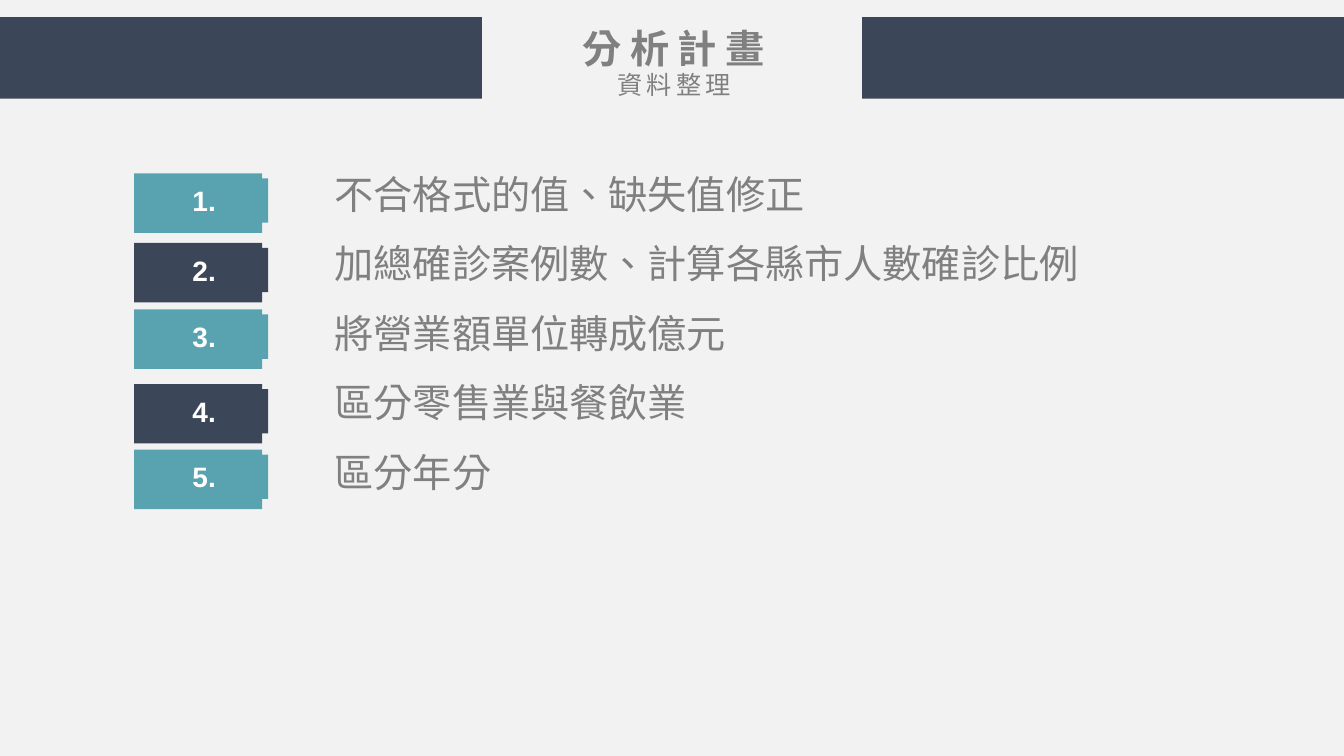
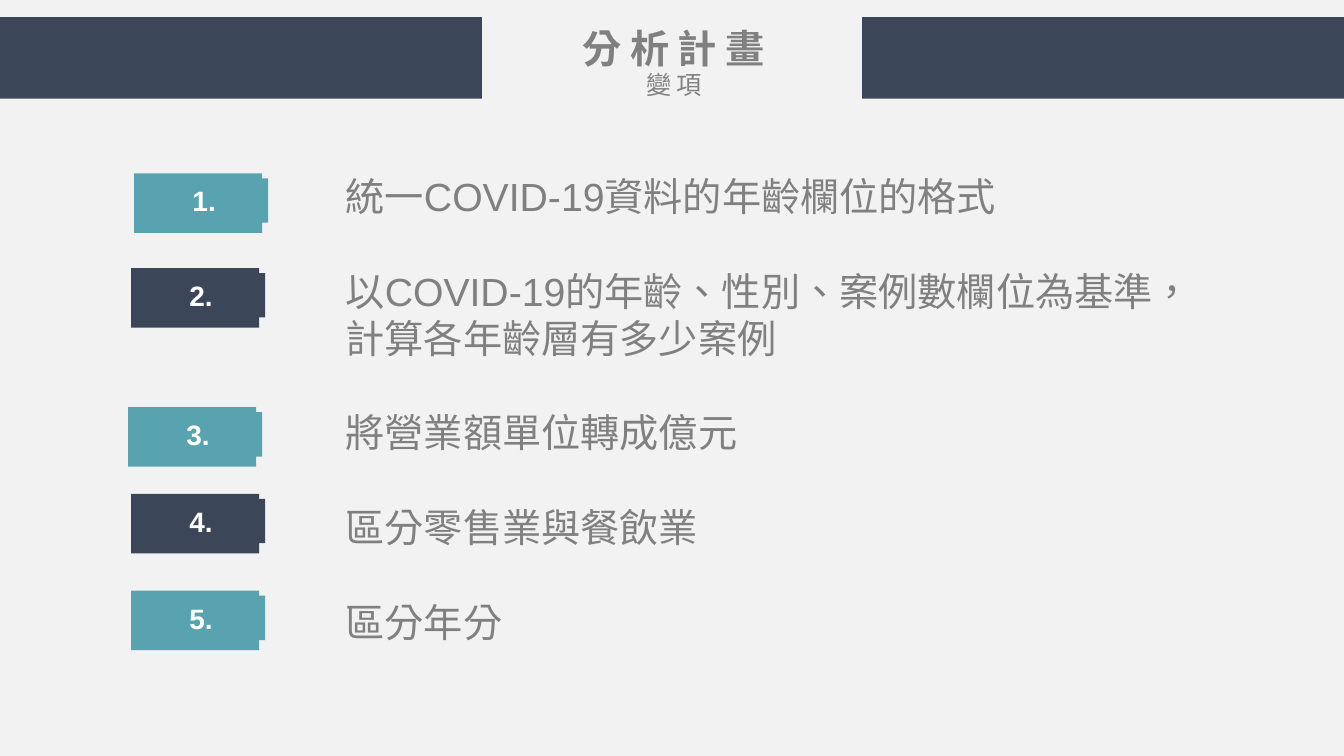
"""Build the two analysis plan slides."""
from dataclasses import dataclass

from pptx import Presentation
from pptx.dml.color import RGBColor
from pptx.enum.lang import MSO_LANGUAGE_ID
from pptx.enum.shapes import MSO_SHAPE
from pptx.enum.text import MSO_ANCHOR, PP_ALIGN
from pptx.oxml.ns import qn
from pptx.util import Inches, Pt


@dataclass(frozen=True)
class Theme:
    """Hold the colours, fonts and type sizes that the slides share."""

    background: RGBColor = RGBColor(0xF2, 0xF2, 0xF2)
    navy: RGBColor = RGBColor(0x3B, 0x46, 0x58)
    teal: RGBColor = RGBColor(0x59, 0xA3, 0xB0)
    grey: RGBColor = RGBColor(0x80, 0x80, 0x80)
    white: RGBColor = RGBColor(0xFF, 0xFF, 0xFF)
    heading_font: str = "Noto Sans CJK SC"
    body_font: str = "Arial"
    large: Pt = Pt(28)
    number: Pt = Pt(20)
    small: Pt = Pt(18)


THEME = Theme()
SLIDE_WIDTH = 13.33
TITLE = "分析計畫"

HEADING = {"name": THEME.heading_font, "size": THEME.large, "bold": True}
SUBHEADING = {"name": THEME.heading_font, "size": THEME.small}
BODY = {"name": THEME.body_font, "size": THEME.large}
NUMBER = {"name": THEME.body_font, "size": THEME.number, "bold": True}

PLANS = [
    {
        "subtitle": "資料整理",
        "items": [
            "不合格式的值、缺失值修正",
            "加總確診案例數、計算各縣市人數確診比例",
            "將營業額單位轉成億元",
            "區分零售業與餐飲業",
            "區分年分",
        ],
        "list_box": (3.22, 1.64, 8.69, 4.49),
        "space_after": Pt(16),
        "badges": [(1.33, 1.72), (1.33, 2.41), (1.33, 3.07), (1.33, 3.81), (1.33, 4.46)],
    },
    {
        "subtitle": "變項",
        "items": [
            "統一COVID-19資料的年齡欄位的格式",
            "以COVID-19的年齡、性別、案例數欄位為基準，計算各年齡層有多少案例",
            "將營業額單位轉成億元",
            "區分零售業與餐飲業",
            "區分年分",
        ],
        "list_box": (3.33, 1.66, 8.68, 5.6),
        "space_after": Pt(34),
        "badges": [(1.33, 1.72), (1.3, 2.66), (1.27, 4.04), (1.3, 4.9), (1.3, 5.86)],
    },
]


def apply_format(target, values):
    """Set each named attribute of the target."""
    for name, value in values.items():
        setattr(target, name, value)


def write_paragraph(paragraph, text, style, color, spacing=0):
    """Write one styled run, with letter spacing in points."""
    run = paragraph.add_run()
    run.text = text
    apply_format(run.font, style)
    run.font.color.rgb = color
    run.font.language_id = MSO_LANGUAGE_ID.TRADITIONAL_CHINESE
    if spacing:
        properties = run.font._element
        properties.set("spc", str(spacing * 100))
        east_asian = properties.makeelement(qn("a:ea"), {"typeface": style["name"]})
        properties.find(qn("a:latin")).addnext(east_asian)


def add_rectangle(shapes, box, color):
    """Add a plain filled rectangle."""
    rectangle = shapes.add_shape(MSO_SHAPE.RECTANGLE, *map(Inches, box))
    rectangle.shadow.inherit = False
    rectangle.fill.solid()
    rectangle.fill.fore_color.rgb = color
    rectangle.line.fill.background()
    return rectangle


def add_text_box(shapes, box):
    """Add a wrapping text box and return its text frame."""
    frame = shapes.add_textbox(*map(Inches, box)).text_frame
    frame.word_wrap = True
    return frame


def add_centred_text(shapes, box, text, style, spacing):
    """Add one centred, letter-spaced line of heading text."""
    paragraph = add_text_box(shapes, box).paragraphs[0]
    paragraph.alignment = PP_ALIGN.CENTER
    write_paragraph(paragraph, text, style, THEME.grey, spacing)


def add_header(slide, subtitle):
    """Add the two bands with the title and subtitle between them."""
    band_width = 4.78
    shapes = slide.shapes.add_group_shape().shapes
    for left in (0, SLIDE_WIDTH - band_width):
        add_rectangle(shapes, (left, 0.17, band_width, 0.81), THEME.navy)
    add_centred_text(shapes, (5.14, 0.19, 3.08, 0.57), TITLE, HEADING, 6)
    add_centred_text(slide.shapes, (5.35, 0.64, 2.67, 0.4), subtitle, SUBHEADING, 3)


def add_badge(slide, number, left, top):
    """Add a number badge made of a block and an offset tab."""
    color = THEME.teal if number % 2 else THEME.navy
    shapes = slide.shapes.add_group_shape().shapes
    add_rectangle(shapes, (left, top, 1.27, 0.59), color)
    tab = add_rectangle(shapes, (left + 0.06, top + 0.05, 1.27, 0.44), color)
    tab.text_frame.vertical_anchor = MSO_ANCHOR.MIDDLE
    paragraph = tab.text_frame.paragraphs[0]
    paragraph.alignment = PP_ALIGN.CENTER
    write_paragraph(paragraph, f"{number}.", NUMBER, THEME.white)


def add_list(slide, box, items, space_after):
    """Add the list text with an equal gap after each item."""
    frame = add_text_box(slide.shapes, box)
    for index, item in enumerate(items):
        paragraph = frame.add_paragraph() if index else frame.paragraphs[0]
        paragraph.space_after = space_after
        write_paragraph(paragraph, item, BODY, THEME.grey)


def add_plan_slide(presentation, plan):
    """Add one slide with its header, badges and list."""
    slide = presentation.slides.add_slide(presentation.slide_layouts[6])
    slide.background.fill.solid()
    slide.background.fill.fore_color.rgb = THEME.background
    add_header(slide, plan["subtitle"])
    for number, (left, top) in enumerate(plan["badges"], start=1):
        add_badge(slide, number, left, top)
    add_list(slide, plan["list_box"], plan["items"], plan["space_after"])


def main():
    """Build and save the presentation."""
    presentation = Presentation()
    size = {"slide_width": Inches(SLIDE_WIDTH), "slide_height": Inches(7.5)}
    apply_format(presentation, size)
    for plan in PLANS:
        add_plan_slide(presentation, plan)
    presentation.save("out.pptx")


if __name__ == "__main__":
    main()
